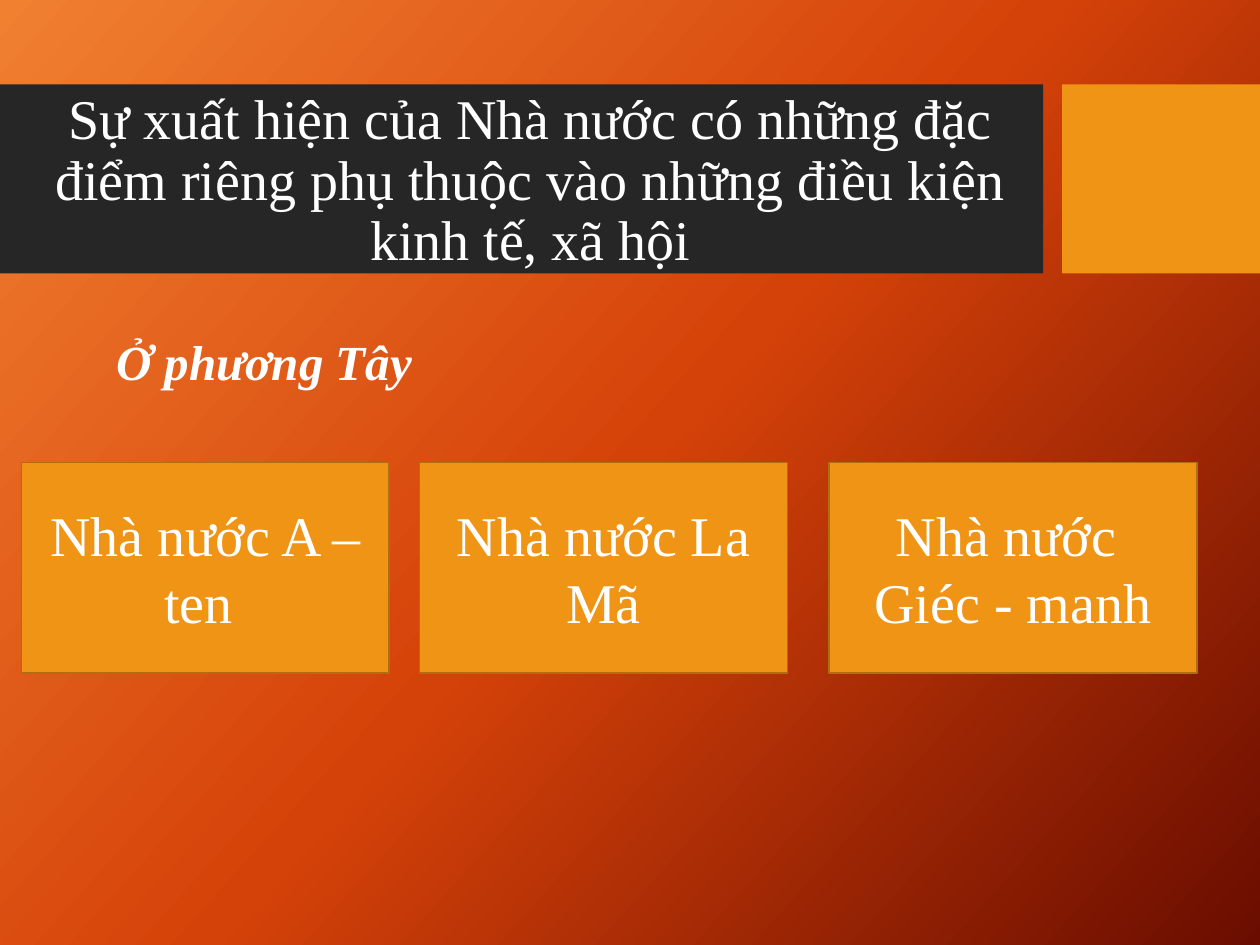
from copy import deepcopy

from pptx import Presentation
from pptx.dml.color import RGBColor
from pptx.enum.shapes import MSO_SHAPE as Shape
from pptx.enum.text import MSO_ANCHOR as Anchor, MSO_AUTO_SIZE as Fit, PP_ALIGN as Align
from pptx.oxml.ns import qn
from pptx.util import Inches, Pt

WHITE = RGBColor(0xFF, 0xFF, 0xFF)
DARK = RGBColor(0x26, 0x26, 0x26)
GOLD = RGBColor(0xF0, 0x94, 0x15)
BROWN = RGBColor(0xB2, 0x6D, 0x10)
GLOW = (RGBColor(0xF1, 0x80, 0x31), RGBColor(0xD5, 0x42, 0x09), RGBColor(0x6A, 0x0D, 0x00))

FONT = {"name": "Times New Roman", "size": Pt(32)}
HEAD = "Sự xuất hiện của Nhà nước có những đặc điểm riêng phụ thuộc vào những điều kiện kinh tế, xã hội"
STATES = ("Nhà nước A – ten ", "Nhà nước La Mã", "Nhà nước \vGiéc - manh")


def paint(slide):
    """Fill the background with an even three-stop gradient."""
    fill = slide.background.fill
    fill.gradient()
    fill.gradient_angle = 360 - 42
    stops = slide.element.find(".//" + qn("a:gsLst"))
    stops.append(deepcopy(stops[-1]))
    for i, (stop, tone) in enumerate(zip(fill.gradient_stops, GLOW)):
        stop.position = i / 2
        stop.color.rgb = tone


def write(frame, text, align=Align.CENTER, anchor=Anchor.MIDDLE, fit=Fit.NONE, **style):
    """Put one formatted paragraph in a text frame."""
    frame.word_wrap = True
    frame.auto_size = fit
    frame.vertical_anchor = anchor
    frame.text = text
    para = frame.paragraphs[0]
    para.alignment = align
    for run in para.runs:
        for key, value in {**FONT, **style}.items():
            setattr(run.font, key, value)
        run.font.color.rgb = WHITE
    return para


def block(slide, box, tone, edge=None):
    """Add a flat rectangle with an optional outline."""
    rect = slide.shapes.add_shape(Shape.RECTANGLE, *map(Inches, box))
    rect.shadow.inherit = False
    rect.fill.solid()
    rect.fill.fore_color.rgb = tone
    if edge is None:
        rect.line.fill.background()
    else:
        rect.line.color.rgb = edge
        rect.line.width = Pt(1)
    return rect


def header(slide):
    """Set the title over its two bars."""
    title = slide.shapes.title
    for left, width, tone in ((0, 8.28, DARK), (8.43, 1.57, GOLD)):
        bar = block(slide, (left, 0.67, width, 1.5), tone)
        title.element.addprevious(bar.element)
    place = {"left": 0.17, "top": 0.82, "width": 8.08, "height": 1.25}
    for key, value in place.items():
        setattr(title, key, Inches(value))
    write(title.text_frame, HEAD).line_spacing = 0.9


def label(slide, box, text):
    """Add a bold italic section label."""
    note = slide.shapes.add_textbox(*map(Inches, box))
    write(note.text_frame, text, Align.LEFT, Anchor.TOP, Fit.SHAPE_TO_FIT_TEXT,
          size=Pt(28), bold=True, italic=True)


def main():
    """Build and save the slide."""
    deck = Presentation()
    deck.slide_width, deck.slide_height = Inches(10), Inches(7.5)
    slide = deck.slides.add_slide(deck.slide_layouts[5])
    paint(slide)
    header(slide)
    label(slide, (0.83, 2.58, 4.75, 0.57), "Ở phương Tây")
    for left, text in zip((0.17, 3.33, 6.58), STATES):
        card = block(slide, (left, 3.67, 2.92, 1.67), GOLD, BROWN)
        write(card.text_frame, text)
    deck.save("out.pptx")


if __name__ == "__main__":
    main()
